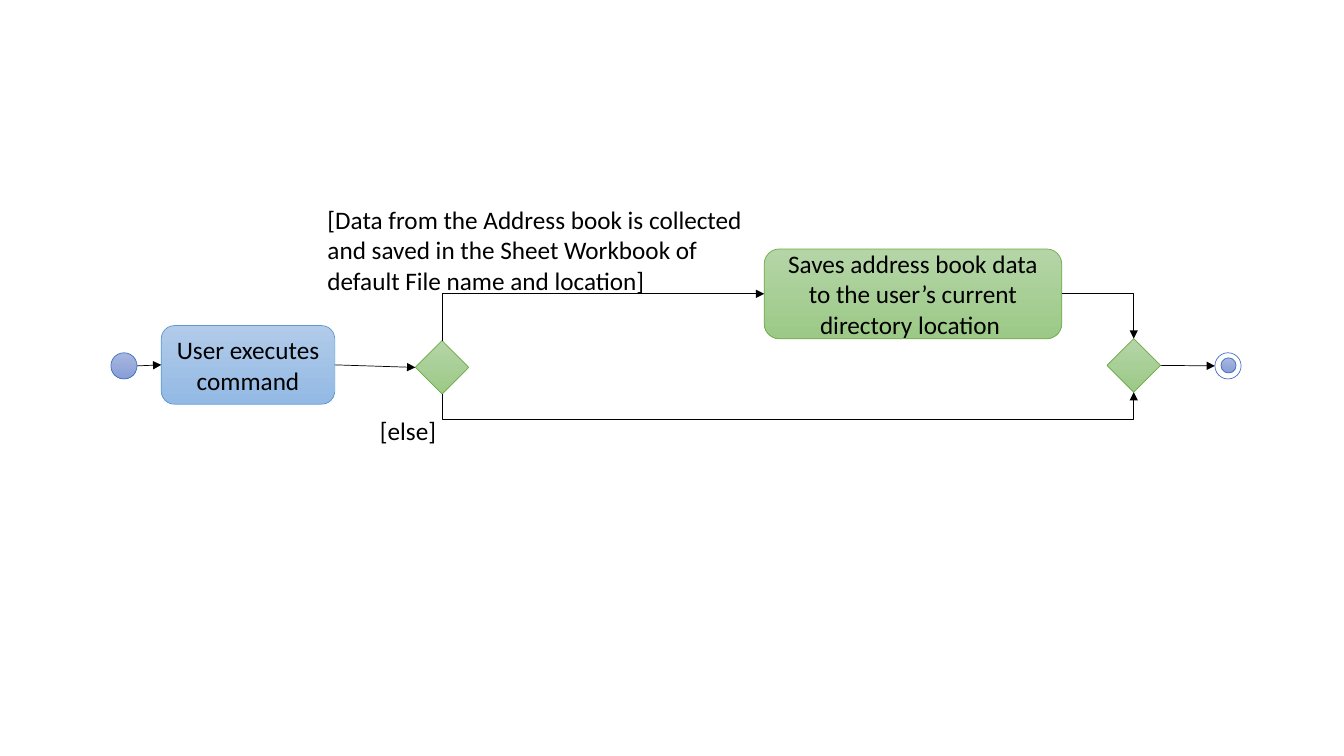
from pptx import Presentation
from pptx import util as u
from pptx.dml.color import RGBColor
from pptx.enum import shapes, text
from pptx.oxml.ns import qn
from lxml import etree

PX = 9144  # 100 px to the inch
BLUE = ("B1CBE9", "93B9E4", "5B9BD5")
GREEN = ("B5D5A7", "9CC987", "70AD47")
INDIGO = ("A8B7DF", "889ED7", "4472C4")
WHITE = ("FFFFFF", "FFFFFF", "4472C4")
KIND = shapes.MSO_SHAPE
ELBOW = shapes.MSO_CONNECTOR.ELBOW


def px(length):
    return u.Emu(length * PX)


def colour(hex_code):
    return RGBColor.from_string(hex_code)


def write(holder, words, align):
    frame = holder.text_frame
    frame.word_wrap = True
    frame.text = words
    paragraph = frame.paragraphs[0]
    paragraph.alignment = align
    font = paragraph.runs[0].font
    font.name, font.size = "Calibri", u.Pt(18)
    font.color.rgb = colour("000000")


def node(slide, kind, box, palette, words=None):
    """Shape with a top-to-bottom shade and a thin outline."""
    shape = slide.shapes.add_shape(kind, *map(px, box))
    shape.shadow.inherit = False
    upper, lower, outline = palette
    if upper == lower:
        shape.fill.solid()
        shape.fill.fore_color.rgb = colour(upper)
    else:
        shape.fill.gradient()
        shape.fill.gradient_angle = 270
        for stop, shade in zip(shape.fill.gradient_stops, (upper, lower)):
            stop.color.rgb = colour(shade)
    shape.line.color.rgb = colour(outline)
    shape.line.width = u.Pt(0.5)
    if words:
        write(shape, words, text.PP_ALIGN.CENTER)
        shape.text_frame.vertical_anchor = text.MSO_ANCHOR.MIDDLE
    return shape


def guard(slide, box, words):
    """Condition written beside a branch."""
    label = slide.shapes.add_textbox(*map(px, box))
    write(label, words, text.PP_ALIGN.LEFT)


def side(shape, name):
    """Middle of one side of a shape."""
    across, down = {"left": (0, 1), "right": (2, 1),
                    "top": (1, 0), "bottom": (1, 2)}[name]
    return (shape.left + shape.width * across // 2,
            shape.top + shape.height * down // 2)


def finish_arrow(arrow):
    arrow.line.color.rgb = colour("000000")
    arrow.line.width = u.Pt(0.5)
    etree.SubElement(arrow.line._get_or_add_ln(), qn("a:tailEnd"), type="triangle")
    etree.SubElement(arrow._element.spPr, qn("a:effectLst"))


def straight(slide, start, end):
    finish_arrow(slide.shapes.add_connector(
        shapes.MSO_CONNECTOR.STRAIGHT, *start, *end))


def elbow(slide, start, end, upright=False, drop=None):
    """One bend, or two if drop is given; upright leaves vertically."""
    (x1, y1), (x2, y2) = start, end
    if upright:  # lay the box on its side around the same centre
        width, height = y1 - y2, x2 - x1
        left, top = (x1 + x2 - width) // 2, (y1 + y2 - height) // 2
    else:
        width, height, left, top = x2 - x1, y2 - y1, x1, y1
    arrow = slide.shapes.add_connector(ELBOW, left, top, left + width, top + height)
    properties = arrow._element.spPr
    if upright:
        for key, value in (("rot", "5400000"), ("flipH", "1"), ("flipV", "1")):
            properties.find(qn("a:xfrm")).set(key, value)
    geometry = properties.find(qn("a:prstGeom"))
    if drop is None:
        geometry.set("prst", "bentConnector2")
    else:
        guides = geometry.find(qn("a:avLst"))
        share = -drop * 100000 // width
        etree.SubElement(guides, qn("a:gd"), name="adj1", fmla=f"val {share}")
    finish_arrow(arrow)


def activity_diagram(slide, left, top):
    def at(x, y, width, height):
        return left + x, top + y, width, height

    # Nodes
    start = node(slide, KIND.OVAL, at(0, 152, 26, 26), INDIGO)
    command = node(slide, KIND.ROUNDED_RECTANGLE, at(50, 125, 172, 78), BLUE,
                   "User executes command")
    save = node(slide, KIND.ROUNDED_RECTANGLE, at(648, 49, 295, 89), GREEN,
                "Saves address book data to the user’s current directory location ")
    choice = node(slide, KIND.DIAMOND, at(302, 140, 53, 53), GREEN)
    merge = node(slide, KIND.DIAMOND, at(988, 138, 53, 53), GREEN)
    end = node(slide, KIND.OVAL, at(1095, 152, 26, 26), WHITE)
    node(slide, KIND.OVAL, at(1101, 157, 15, 15), INDIGO)

    # Guards
    guard(slide, at(205, 0, 443, 101),
          "[Data from the Address book is collected and saved in the Sheet "
          "Workbook of default File name and location]")
    guard(slide, at(257, 209, 93, 40), "[else]")

    # Flow
    for source, target in ((start, command), (command, choice), (merge, end)):
        straight(slide, side(source, "right"), side(target, "left"))
    elbow(slide, side(choice, "top"), side(save, "left"), upright=True)
    elbow(slide, side(save, "right"), side(merge, "top"))
    elbow(slide, side(choice, "bottom"), side(merge, "bottom"),
          upright=True, drop=px(25))


def main():
    deck = Presentation()
    deck.slide_width, deck.slide_height = px(1333), px(750)
    slide = deck.slides.add_slide(deck.slide_layouts[6])
    activity_diagram(slide, 110, 198)
    deck.save("out.pptx")


if __name__ == "__main__":
    main()
